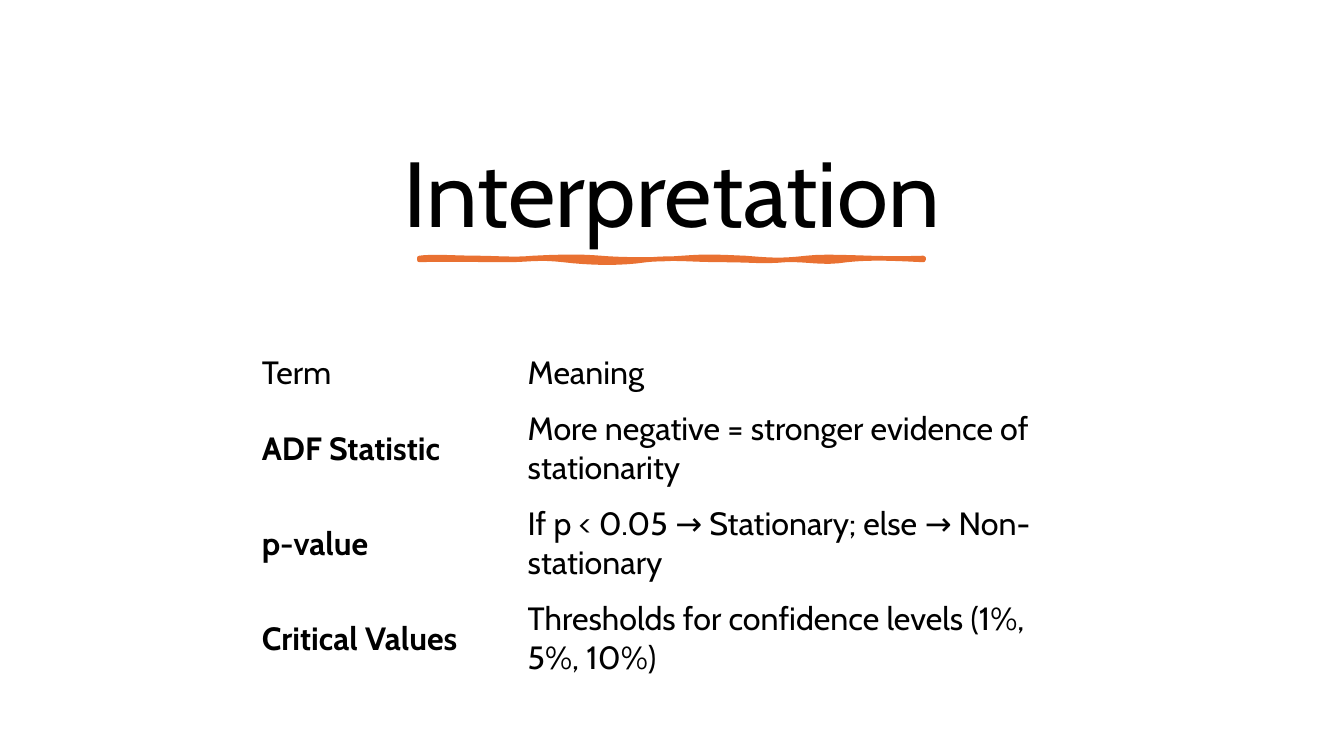
from pptx import Presentation
from pptx.dml.color import RGBColor
from pptx.enum.text import MSO_ANCHOR, PP_ALIGN
from pptx.util import Pt

MIDDLE, BOTTOM = MSO_ANCHOR.MIDDLE, MSO_ANCHOR.BOTTOM
CENTER = PP_ALIGN.CENTER
BLACK = RGBColor(0x00, 0x00, 0x00)
ORANGE = RGBColor(0xE9, 0x71, 0x32)
FONT = "Cabin"

UNDERLINE_LEFT, UNDERLINE_TOP = 299.5, 184.3
# Each curve: two control points and an end point, in points from the left end.
UNDERLINE_CURVES = [
    # upper edge, left to right
    ((8.6, -1.4), (27.4, 0), (41, 0)),
    ((54.7, 0), (67, 1.4), (81.4, 0)),
    ((95.8, -0.7), (113.8, -1.4), (129.6, 0)),
    ((144.7, 1.4), (170.6, 1.4), (187.9, 0)),
    ((205.9, -1.4), (214.6, -0.7), (232.6, 0)),
    ((249.8, 1.4), (257.8, 2.2), (276.5, 0)),
    ((295.2, -2.2), (324.7, 1.4), (360, 0)),
    ((360.7, 0.7), (360, 0.7), (360, 1.4)),
    # lower edge, right to left
    ((344.9, 0.7), (323.3, -0.7), (305.3, 1.4)),
    ((287.3, 4.3), (277.2, 0.7), (261.4, 1.4)),
    ((244.8, 2.9), (238.3, 1.4), (216.7, 1.4)),
    ((195.1, 1.4), (180.7, -0.7), (162, 1.4)),
    ((142.6, 4.3), (121.7, 3.6), (103, 1.4)),
    ((85, -0.7), (77, 1.4), (62.6, 1.4)),
    ((48.2, 1.4), (15.8, 0.7), (0, 1.4)),
]
CURVE_STEPS = 8

ROWS = [
    ("Term", "Meaning"),
    ("ADF Statistic", "More negative = stronger evidence of stationarity"),
    ("p-value", "If p < 0.05 → Stationary; else → Non-stationary"),
    ("Critical Values", "Thresholds for confidence levels (1%, 5%, 10%)"),
]
COLUMN_WIDTHS = (190, 414)
HEADER_HEIGHT, ROW_HEIGHT = 40.5, 67.8


def set_font(paragraph, size, bold=False):
    font = paragraph.font
    font.name, font.size, font.bold = FONT, Pt(size), bold
    font.color.rgb = BLACK


def add_title(slide, text):
    frame = slide.shapes.add_textbox(Pt(50.4), Pt(36), Pt(859), Pt(144)).text_frame
    frame.word_wrap = True
    frame.vertical_anchor = BOTTOM
    paragraph = frame.paragraphs[0]
    paragraph.text = text
    paragraph.alignment = CENTER
    paragraph.line_spacing = 0.9
    set_font(paragraph, 66)


def curve_points(start, curves):
    """Return points along a chain of cubic Bézier curves."""
    points = []
    for first, second, end in curves:
        for step in range(1, CURVE_STEPS + 1):
            t = step / CURVE_STEPS
            u = 1 - t
            points.append(tuple(
                u**3 * a + 3 * u * u * t * b + 3 * u * t * t * c + t**3 * d
                for a, b, c, d in zip(start, first, second, end)
            ))
        start = end
    return points


def add_underline(slide):
    points = [
        (Pt(UNDERLINE_LEFT + x), Pt(UNDERLINE_TOP + y))
        for x, y in curve_points((0, 0), UNDERLINE_CURVES)
    ]
    builder = slide.shapes.build_freeform(Pt(UNDERLINE_LEFT), Pt(UNDERLINE_TOP))
    builder.add_line_segments(points, close=True)
    underline = builder.convert_to_shape()
    underline.shadow.inherit = False
    underline.fill.solid()
    underline.fill.fore_color.rgb = ORANGE
    underline.line.color.rgb = ORANGE
    underline.line.width = Pt(3.25)


def fill_cell(cell, text, bold):
    cell.fill.background()
    cell.vertical_anchor = MIDDLE
    cell.margin_left = cell.margin_right = Pt(9.2)
    cell.margin_top = cell.margin_bottom = Pt(4.6)
    paragraph = cell.text_frame.paragraphs[0]
    paragraph.text = text
    set_font(paragraph, 23, bold)


def add_terms_table(slide):
    heights = [HEADER_HEIGHT] + [ROW_HEIGHT] * (len(ROWS) - 1)
    table = slide.shapes.add_table(
        len(ROWS), len(COLUMN_WIDTHS), Pt(177.8), Pt(246.2),
        Pt(sum(COLUMN_WIDTHS)), Pt(sum(heights)),
    ).table
    table.first_row = table.horz_banding = False
    for column, width in zip(table.columns, COLUMN_WIDTHS):
        column.width = Pt(width)
    for row_index, (texts, height) in enumerate(zip(ROWS, heights)):
        table.rows[row_index].height = Pt(height)
        for column_index, text in enumerate(texts):
            is_term = row_index > 0 and column_index == 0
            fill_cell(table.cell(row_index, column_index), text, is_term)


def main():
    presentation = Presentation()
    presentation.slide_width, presentation.slide_height = Pt(960), Pt(540)
    slide = presentation.slides.add_slide(presentation.slide_layouts[6])
    add_title(slide, "Interpretation")
    add_underline(slide)
    add_terms_table(slide)
    presentation.save("out.pptx")


if __name__ == "__main__":
    main()
